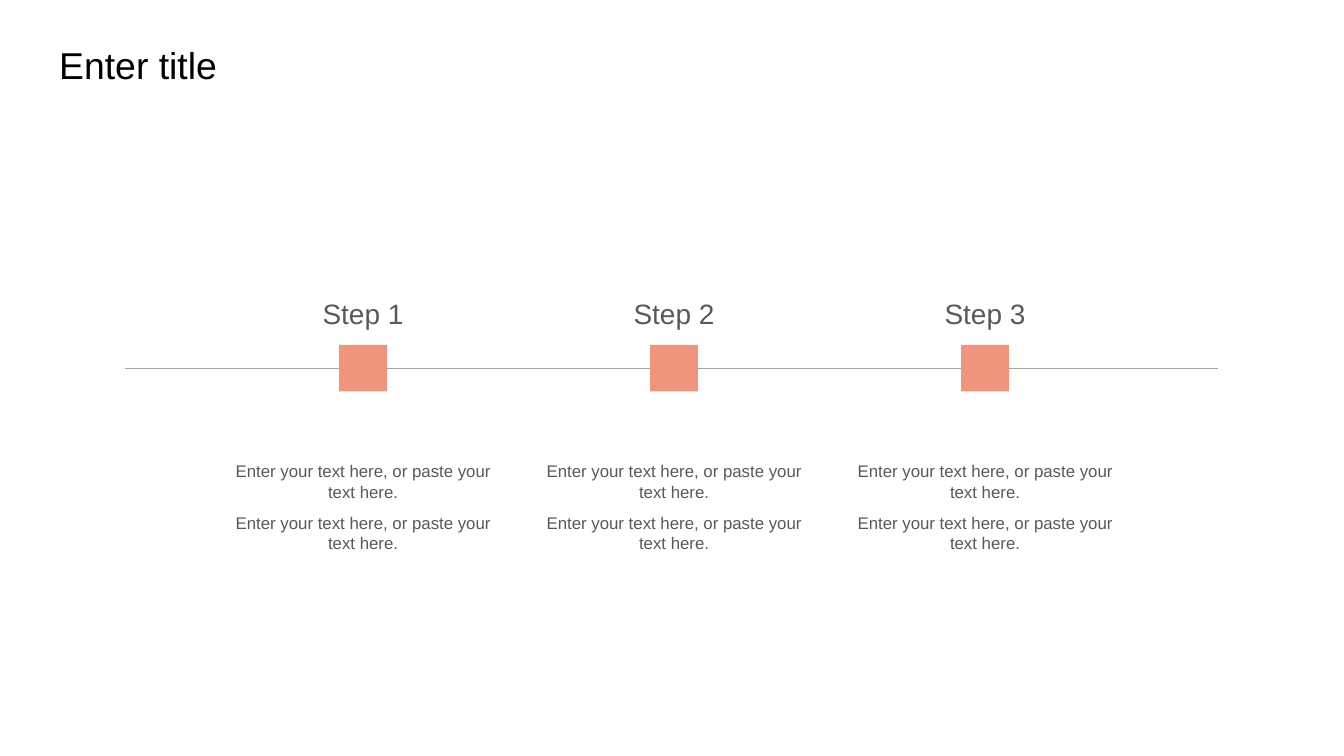
"""Build a three-step timeline slide."""
import pptx
import pptx.dml.color
import pptx.enum.shapes
import pptx.enum.text
import pptx.oxml
import pptx.oxml.ns
import pptx.util

Pt = pptx.util.Pt
ALIGN = pptx.enum.text.PP_ALIGN
ANCHOR = pptx.enum.text.MSO_ANCHOR

TITLE = "Enter title"
STEPS = [
    (name, ["Enter your text here, or paste your text here."] * 2)
    for name in ("Step 1", "Step 2", "Step 3")
]
THEME = {
    "font": "Arial",
    "title": (20, "000000"),
    "step": (15, "595959"),
    "body": (9, "595959"),
    "line": "A6A6A6",
    "marker": "EF957D",
}
FIRST_CENTER, STEP_GAP = 194.5, 166.6
AXIS_Y, AXIS_LEFT, AXIS_RIGHT = 197.3, 67, 652.3
MARKER_WIDTH, MARKER_HEIGHT = 25.7, 25
LABEL_TOP, LABEL_WIDTH, LABEL_HEIGHT = 155.5, 60, 25.2
BODY_TOP, BODY_WIDTH, BODY_HEIGHT = 243.4, 152.6, 56.9


def color(name):
    return pptx.dml.color.RGBColor.from_string(name)


def write(shape, lines, style, alignment, anchor=ANCHOR.TOP):
    size, ink = THEME[style]
    frame = shape.text_frame
    frame.text = "\n".join(lines)
    frame.word_wrap = True
    frame.auto_size = pptx.enum.text.MSO_AUTO_SIZE.NONE
    frame.vertical_anchor = anchor
    for index, paragraph in enumerate(frame.paragraphs):
        paragraph.alignment = alignment
        paragraph.space_before = Pt(5.9 if index else 0)
        for run in paragraph.runs:
            run.font.name = THEME["font"]
            run.font.size = Pt(size)
            run.font.color.rgb = color(ink)


def add_centered_text(slide, center, top, width, height, lines, style):
    box = slide.shapes.add_textbox(Pt(center - width / 2), Pt(top), Pt(width), Pt(height))
    write(box, lines, style, ALIGN.CENTER)


def add_axis(slide):
    axis = slide.shapes.add_connector(
        pptx.enum.shapes.MSO_CONNECTOR.STRAIGHT,
        Pt(AXIS_LEFT), Pt(AXIS_Y), Pt(AXIS_RIGHT), Pt(AXIS_Y),
    )
    axis.line.color.rgb = color(THEME["line"])
    axis.line.width = Pt(0.75)
    properties = axis._element.spPr
    properties.append(pptx.oxml.parse_xml(f'<a:effectLst {pptx.oxml.ns.nsdecls("a")}/>'))


def add_marker(slide, center):
    marker = slide.shapes.add_shape(
        pptx.enum.shapes.MSO_SHAPE.RECTANGLE,
        Pt(center - MARKER_WIDTH / 2), Pt(AXIS_Y - MARKER_HEIGHT / 2),
        Pt(MARKER_WIDTH), Pt(MARKER_HEIGHT),
    )
    marker.shadow.inherit = False
    marker.fill.solid()
    marker.fill.fore_color.rgb = color(THEME["marker"])
    marker.line.fill.background()


def main():
    presentation = pptx.Presentation()
    presentation.slide_width, presentation.slide_height = Pt(720), Pt(405)
    slide = presentation.slides.add_slide(presentation.slide_layouts[5])

    title = slide.shapes.title
    title.left, title.top, title.width, title.height = Pt(24.5), Pt(18.7), Pt(125.3), Pt(31.7)
    write(title, [TITLE], "title", ALIGN.LEFT, ANCHOR.MIDDLE)

    add_axis(slide)
    for index, (name, lines) in enumerate(STEPS):
        center = FIRST_CENTER + index * STEP_GAP
        add_centered_text(slide, center, LABEL_TOP, LABEL_WIDTH, LABEL_HEIGHT, [name], "step")
        add_centered_text(slide, center, BODY_TOP, BODY_WIDTH, BODY_HEIGHT, lines, "body")
        add_marker(slide, center)

    presentation.save("out.pptx")


if __name__ == "__main__":
    main()
